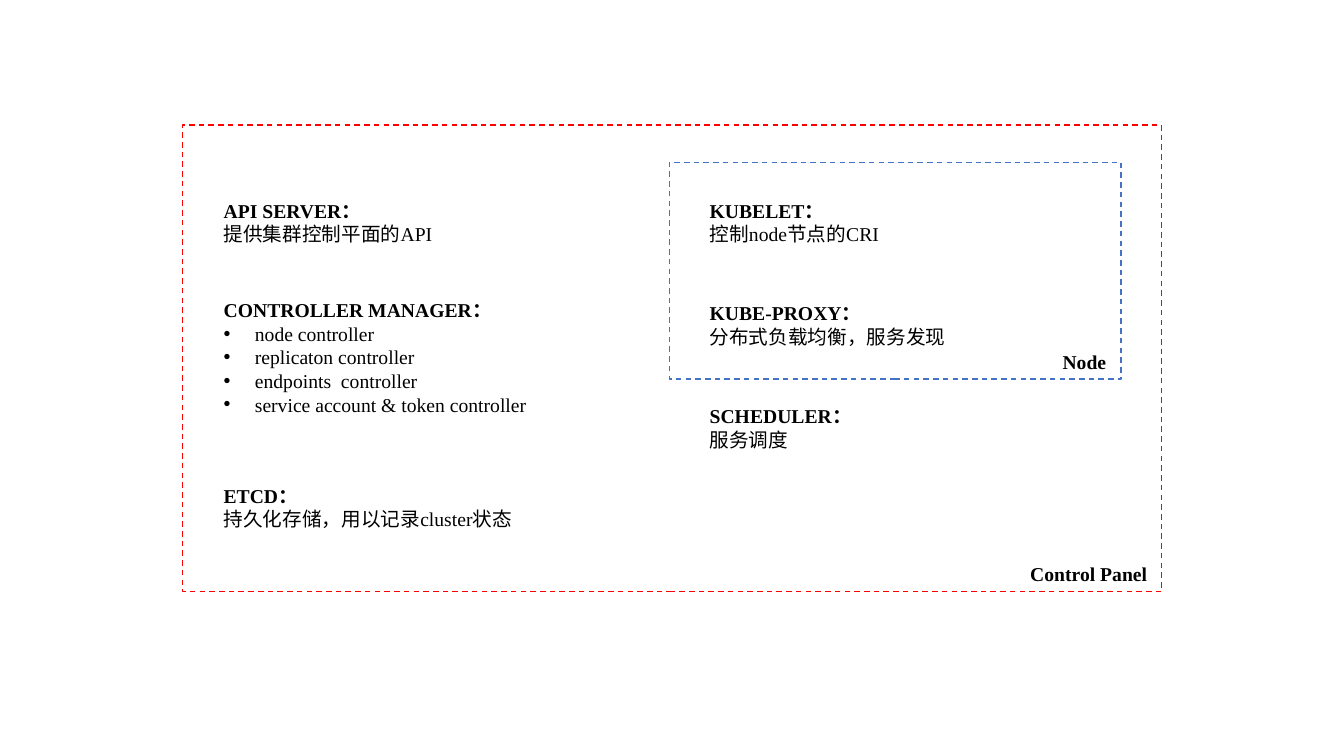
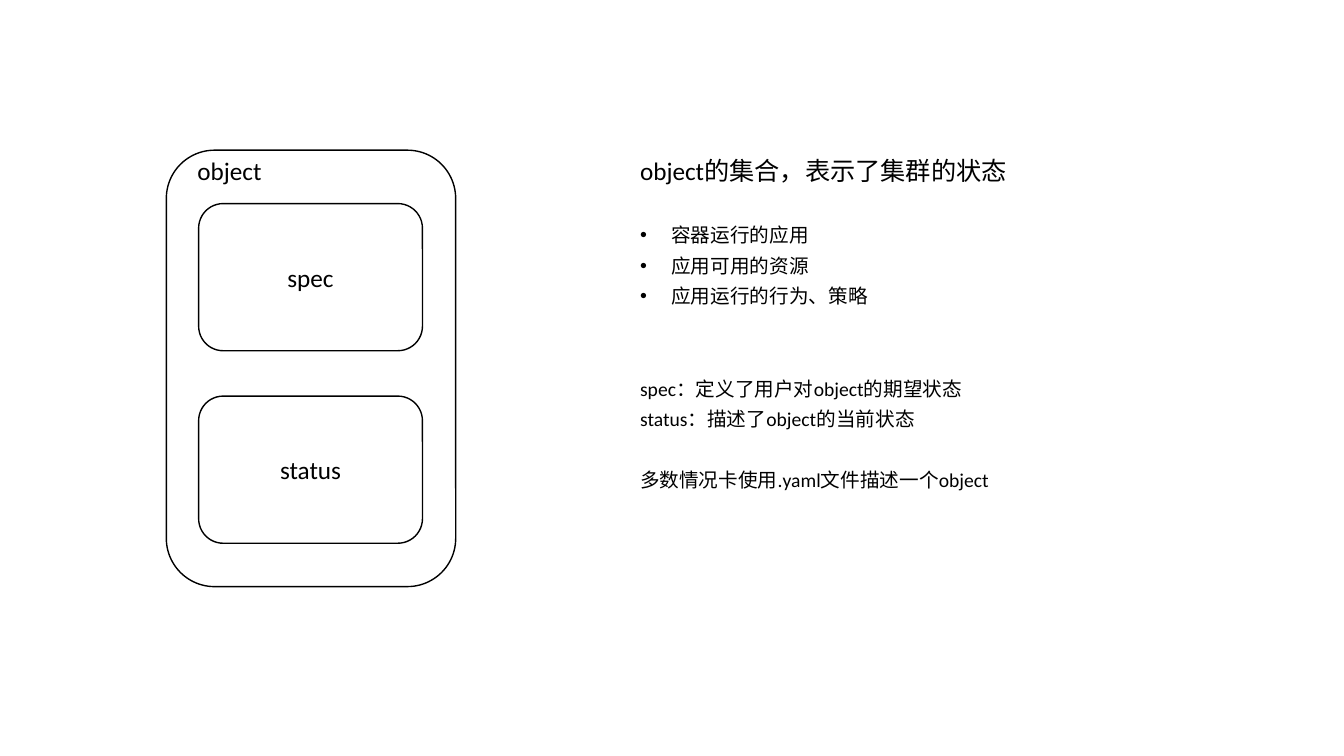
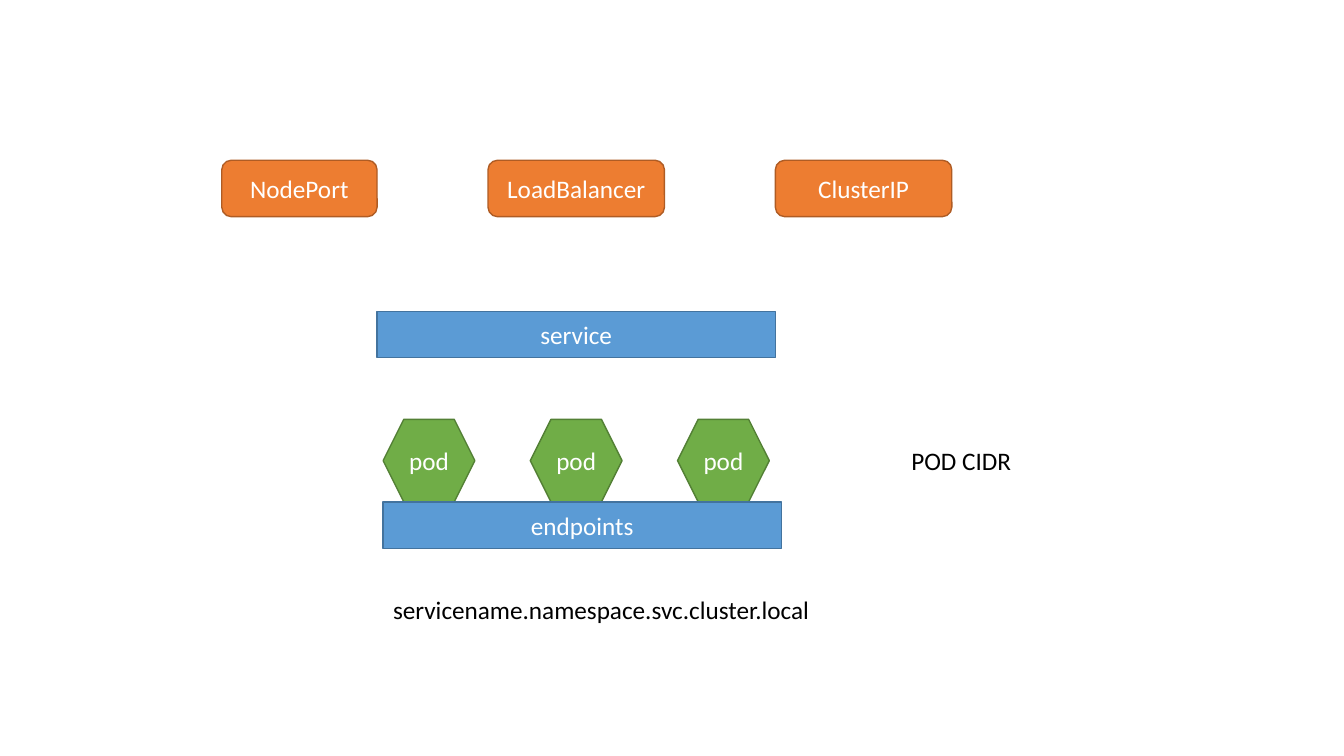
from lxml import etree
from pptx import Presentation
from pptx.dml.color import RGBColor
from pptx.enum.dml import MSO_LINE
from pptx.enum.shapes import MSO_SHAPE
from pptx.enum.text import MSO_ANCHOR, PP_ALIGN
from pptx.oxml.ns import qn
from pptx.util import Inches, Pt

RECT = MSO_SHAPE.RECTANGLE
ROUND = MSO_SHAPE.ROUNDED_RECTANGLE
HEXAGON = MSO_SHAPE.HEXAGON
DASH = MSO_LINE.DASH
MIDDLE = MSO_ANCHOR.MIDDLE
CENTER = PP_ALIGN.CENTER

COLORS = {
    "text": "000000", "white": "FFFFFF",
    "panel": "FF0000", "node": "4472C4",
    "band": "5B9BD5", "band_line": "43739E",
    "pod": "70AD47", "pod_line": "538035",
    "type": "ED7D31", "type_line": "AF5C24",
}
SERIF, SANS = "Times New Roman", "Calibri"
SMALL, LARGE = 14, 18
INDENT = 0.31
LABEL_H = 0.34


def color(key):
    return RGBColor.from_string(COLORS[key])


def add_run(paragraph, text, font, size, ink="text", bold=False):
    run = paragraph.add_run()
    run.text = text
    run.font.name, run.font.size, run.font.bold = font, Pt(size), bold
    run.font.color.rgb = color(ink)


def add_bullet(paragraph):
    props = paragraph._p.get_or_add_pPr()
    props.set("marL", str(Inches(INDENT)))
    props.set("indent", str(-Inches(INDENT)))
    etree.SubElement(props, qn("a:buFont")).set("typeface", "Arial")
    etree.SubElement(props, qn("a:buChar")).set("char", "•")


def add_text_frame(slide, left, top, width, height, wrap=True):
    box = slide.shapes.add_textbox(Inches(left), Inches(top), Inches(width), Inches(height))
    box.text_frame.word_wrap = wrap
    return box.text_frame


def add_label(slide, left, top, width, height, text, font=SANS, size=LARGE, bold=False, wrap=False):
    frame = add_text_frame(slide, left, top, width, height, wrap)
    add_run(frame.paragraphs[0], text, font, size, bold=bold)


def add_box(slide, kind, left, top, width, height, line, fill=None, text=None, ink="text"):
    box = slide.shapes.add_shape(kind, Inches(left), Inches(top), Inches(width), Inches(height))
    box.shadow.inherit = False
    box.line.color.rgb = color(line)
    box.line.width = Pt(1)
    if fill:
        box.fill.solid()
        box.fill.fore_color.rgb = color(fill)
    else:
        box.fill.background()
    if text:
        box.text_frame.vertical_anchor = MIDDLE
        paragraph = box.text_frame.paragraphs[0]
        paragraph.alignment = CENTER
        add_run(paragraph, text, SANS, LARGE, ink)
    return box


def add_row(slide, kind, left, top, height, gap, items, style):
    """Place boxes side by side; items are (text, width)."""
    for text, width in items:
        add_box(slide, kind, left, top, width, height, style + "_line", style, text, "white")
        left += width + gap


# Slide 1: components of the control panel
def add_component(slide, left, top, title, details, bulleted=False):
    frame = add_text_frame(slide, left, top, 5.03, 0.57 if len(details) == 1 else 1.28)
    add_run(frame.paragraphs[0], title, SERIF, SMALL, bold=True)
    for detail in details:
        paragraph = frame.add_paragraph()
        if bulleted:
            add_bullet(paragraph)
        add_run(paragraph, detail, SERIF, SMALL)


def add_zone(slide, left, top, width, height, line, name, name_width):
    """Dashed frame with its name in the lower right corner."""
    add_box(slide, RECT, left, top, width, height, line).line.dash_style = DASH
    add_label(slide, left + width - name_width, top + height - LABEL_H, name_width, LABEL_H,
              name, SERIF, SMALL, bold=True, wrap=True)


def build_components(slide, left, top):
    add_zone(slide, left, top, 9.71, 4.63, "panel", "Control Panel", 1.4)
    add_zone(slide, left + 4.83, top + 0.37, 4.48, 2.15, "node", "Node", 0.68)
    first, second = left + 0.31, left + 5.13
    add_component(slide, first, top + 0.68, "API SERVER：", ["提供集群控制平面的API"])
    add_component(slide, first, top + 1.67, "CONTROLLER MANAGER：",
                  ["node controller", "replicaton controller", "endpoints  controller",
                   "service account & token controller"], bulleted=True)
    add_component(slide, first, top + 3.51, "ETCD：", ["持久化存储，用以记录cluster状态"])
    add_component(slide, second, top + 0.68, "KUBELET：", ["控制node节点的CRI"])
    add_component(slide, second, top + 1.7, "KUBE-PROXY：", ["分布式负载均衡，服务发现"])
    add_component(slide, second, top + 2.72, "SCHEDULER：", ["服务调度"])


# Slide 2: object diagram and its explanation
def build_object_diagram(slide, left, top):
    add_box(slide, ROUND, left, top, 2.87, 4.33, "text", "white")
    add_label(slide, left + 0.21, top, 0.84, 0.4, "object")
    for index, part in enumerate(["spec", "status"]):
        add_box(slide, ROUND, left + 0.32, top + 0.53 + index * 1.91, 2.22, 1.46,
                "text", "white", part)


def build_object_notes(slide, left, top):
    frame = add_text_frame(slide, left, top, 3.84, 3.46)
    add_run(frame.paragraphs[0], "object的集合，表示了集群的状态", SANS, LARGE)
    blank_line = 22
    notes = [  # text, bulleted, blank lines above
        ("容器运行的应用", True, 1),
        ("应用可用的资源", True, 0),
        ("应用运行的行为、策略", True, 0),
        ("spec：定义了用户对object的期望状态", False, 2),
        ("status：描述了object的当前状态", False, 0),
        ("多数情况卡使用.yaml文件描述一个object", False, 1),
    ]
    for text, bulleted, gap in notes:
        paragraph = frame.add_paragraph()
        paragraph.line_spacing = 1.3
        paragraph.space_before = Pt(gap * blank_line)
        if bulleted:
            add_bullet(paragraph)
        add_run(paragraph, text, SANS, SMALL)


# Slide 3: service types, service, pods and endpoints
def build_service(slide, left, top):
    add_row(slide, ROUND, left, top, 0.56, 1.1,
            [("NodePort", 1.54), ("LoadBalancer", 1.75), ("ClusterIP", 1.75)], "type")
    add_row(slide, RECT, left + 1.54, top + 1.5, 0.46, 0, [("service", 3.95)], "band")
    pods_left = left + 1.6
    add_row(slide, HEXAGON, pods_left, top + 2.57, 0.82, 0.55, [("pod", 0.91)] * 3, "pod")
    add_row(slide, RECT, pods_left, top + 3.39, 0.46, 0, [("endpoints", 3.95)], "band")
    add_label(slide, left + 6.74, top + 2.78, 1.19, 0.4, "POD CIDR")
    add_label(slide, pods_left, top + 4.26, 7.5, 0.4,
              "servicename.namespace.svc.cluster.local", wrap=True)


def main():
    deck = Presentation()
    deck.slide_width, deck.slide_height = Inches(13.33), Inches(7.5)
    blank = deck.slide_layouts[6]

    build_components(deck.slides.add_slide(blank), 1.81, 1.24)

    object_slide = deck.slides.add_slide(blank)
    build_object_diagram(object_slide, 1.65, 1.49)
    build_object_notes(object_slide, 6.25, 1.49)

    build_service(deck.slides.add_slide(blank), 2.2, 1.59)
    deck.save("out.pptx")


if __name__ == "__main__":
    main()
